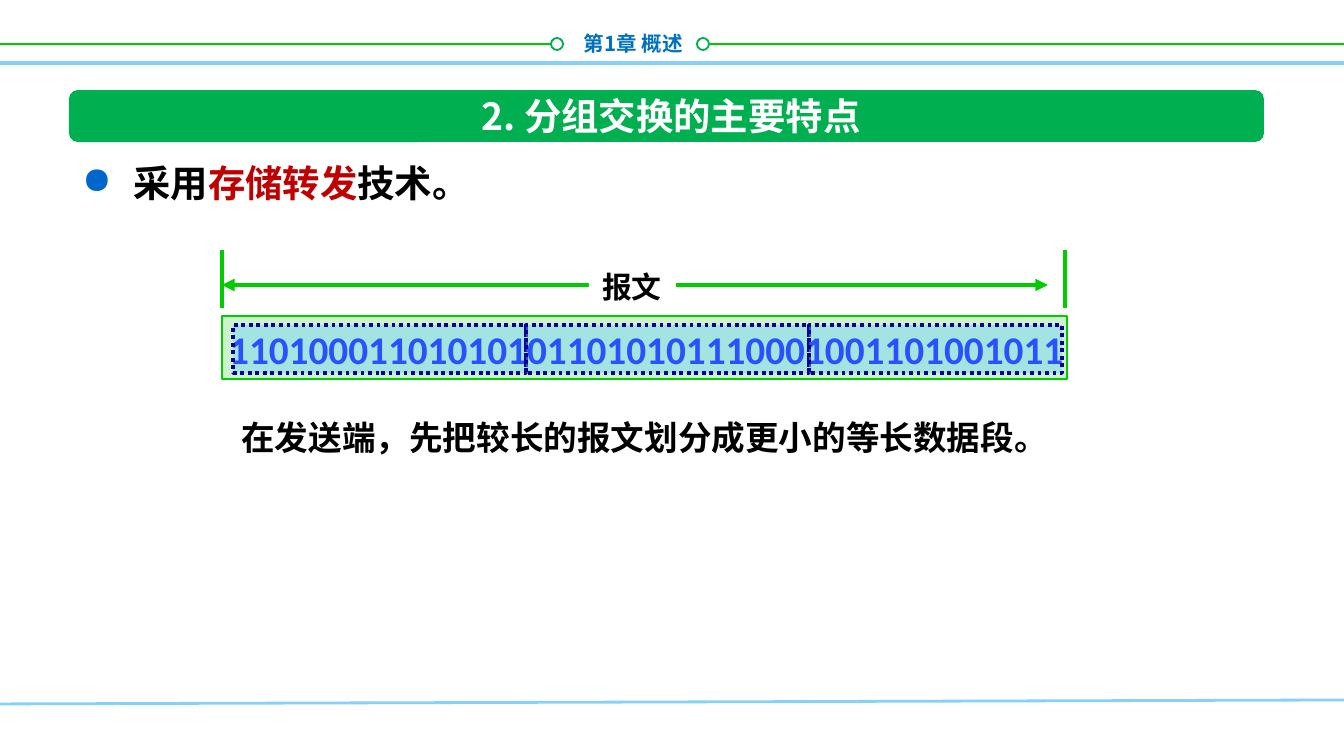
import pptx
import pptx.util
import pptx.dml.color
import pptx.enum.dml
import pptx.enum.shapes
import pptx.enum.text
import pptx.oxml.ns
from lxml import etree

PX = 914400 / 134.4
RGB = pptx.dml.color.RGBColor
Pt = pptx.util.Pt
SHAPE = pptx.enum.shapes.MSO_SHAPE
ALIGN = pptx.enum.text.PP_ALIGN
ANCHOR = pptx.enum.text.MSO_ANCHOR
qn = pptx.oxml.ns.qn

WHITE = RGB(0xFF, 0xFF, 0xFF)
BLACK = RGB(0, 0, 0)
LIME = RGB(0x00, 0xCC, 0x00)
GREEN = RGB(0x00, 0xB0, 0x50)
PALE_GREEN = RGB(0xCD, 0xF3, 0xCD)
SKY = RGB(0x85, 0xD1, 0xF7)
CHAPTER_BLUE = RGB(0x00, 0x70, 0xC0)
BIT_BLUE = RGB(0x00, 0x00, 0xFF)
SEGMENT_BLUE = RGB(0x66, 0xCC, 0xFF)
NAVY = RGB(0x00, 0x00, 0x99)
RED = RGB(0xC0, 0x00, 0x00)
CJK = "Noto Sans CJK SC"

deck = pptx.Presentation()
deck.slide_width = round(1344 * PX)
deck.slide_height = round(756 * PX)
page = deck.slides.add_slide(deck.slide_layouts[6])


def add_line(x1, y1, x2, y2, color, width):
    ends = [round(v * PX) for v in (x1, y1, x2, y2)]
    line = page.shapes.add_connector(pptx.enum.shapes.MSO_CONNECTOR.STRAIGHT, *ends)
    line.line.color.rgb = color
    line.line.width = Pt(width)
    etree.SubElement(line._element.spPr, qn("a:effectLst"))
    return line


def add_box(area, texts=(), size=18, align=ALIGN.LEFT, face=CJK, kind=None,
            fill=None, line=None, width=1, bullet=False, wrap=True):
    """Add a shape, or a text box if kind is None; texts are (text, color) pairs."""
    place = [round(v * PX) for v in area]
    if kind is None:
        box = page.shapes.add_textbox(*place)
    else:
        box = page.shapes.add_shape(kind, *place)
        box.shadow.inherit = False
        box.fill.solid()
        box.fill.fore_color.rgb = fill
        if line is None:
            box.line.fill.background()
        else:
            box.line.color.rgb = line
            box.line.width = Pt(width)
    if not texts:
        return box
    box.text_frame.word_wrap = wrap
    para = box.text_frame.paragraphs[0]
    para.alignment = align
    if bullet:
        para.line_spacing = Pt(30)
        props = para._p.get_or_add_pPr()
        props.set("marL", str(round(51 * PX)))
        props.set("indent", str(-round(51 * PX)))
        color = etree.SubElement(props, qn("a:buClr"))
        etree.SubElement(color, qn("a:srgbClr"), val="0066CC")
        etree.SubElement(props, qn("a:buChar"), char="●")
    para.font.name = face
    para.font.size = Pt(size)
    para.font.bold = True
    etree.SubElement(para.font._element, qn("a:ea"), typeface=face)
    if len(texts) == 1:
        para.font.color.rgb = texts[0][1]
    for text, color in texts:
        span = para.add_run()
        span.text = text
        if len(texts) > 1:
            span.font.color.rgb = color
    return box


# Header and footer rules
add_line(0, 44, 551, 44, LIME, 1)
add_line(710, 44, 1344, 44, LIME, 1)
for left in (551, 697):
    add_box((left, 38, 12, 12), kind=SHAPE.OVAL, fill=WHITE, line=GREEN)
add_box((516, 24, 180, 38), [("第1章 概述", CHAPTER_BLUE)], 11, ALIGN.RIGHT)
add_line(0, 704, 1344, 700, SKY, 1.5)
add_line(0, 63, 1344, 63, SKY, 2)

# Title bar
bar = add_box((69, 90, 1195, 52), kind=SHAPE.ROUNDED_RECTANGLE, fill=GREEN)
bar.adjustments[0] = 0.17
title = add_box((184, 90, 974, 52), [("2. 分组交换的主要特点", WHITE)], 20, ALIGN.CENTER)
title.text_frame.vertical_anchor = ANCHOR.MIDDLE

# Bullet point
add_box((69, 142, 1195, 499),
        [("采用", BLACK), ("存储转发", RED), ("技术。", BLACK)], 20, bullet=True)

# Message length arrow with its label and end marks
arrow = add_line(222, 285, 1048, 285, LIME, 2.25)
for end in ("a:headEnd", "a:tailEnd"):
    etree.SubElement(arrow.line._get_or_add_ln(), qn(end), type="triangle")
label = add_box((589, 262, 87, 50), [("报文", BLACK)], 16, kind=SHAPE.RECTANGLE,
                fill=WHITE, wrap=False)
label.text_frame.vertical_anchor = ANCHOR.TOP
for x in (222, 1065):
    add_line(x, 250, x, 308, LIME, 2.25)

# Message bits, divided into three segments
add_box((222, 316, 845, 63), kind=SHAPE.RECTANGLE, fill=PALE_GREEN, line=LIME, width=1.5)
add_box((216, 319, 868, 60), [("110100011010101011010101110001001101001011", BIT_BLUE)],
        21, face="Calibri", wrap=False)
edges = (233, 526, 809, 1062)
for left, right in zip(edges, edges[1:]):
    segment = add_box((left, 325, right - left, 48), kind=SHAPE.RECTANGLE,
                      fill=SEGMENT_BLUE, line=NAVY, width=2)
    segment.line.dash_style = pptx.enum.dml.MSO_LINE.ROUND_DOT
    tint = segment._element.spPr.find(qn("a:solidFill"))[0]
    etree.SubElement(tint, qn("a:alpha"), val="40000")

# Explanation
add_box((222, 410, 845, 54),
        [("在发送端，先把较长的报文划分成更小的等长数据段。", BLACK)], 18, ALIGN.CENTER)

deck.save("out.pptx")
